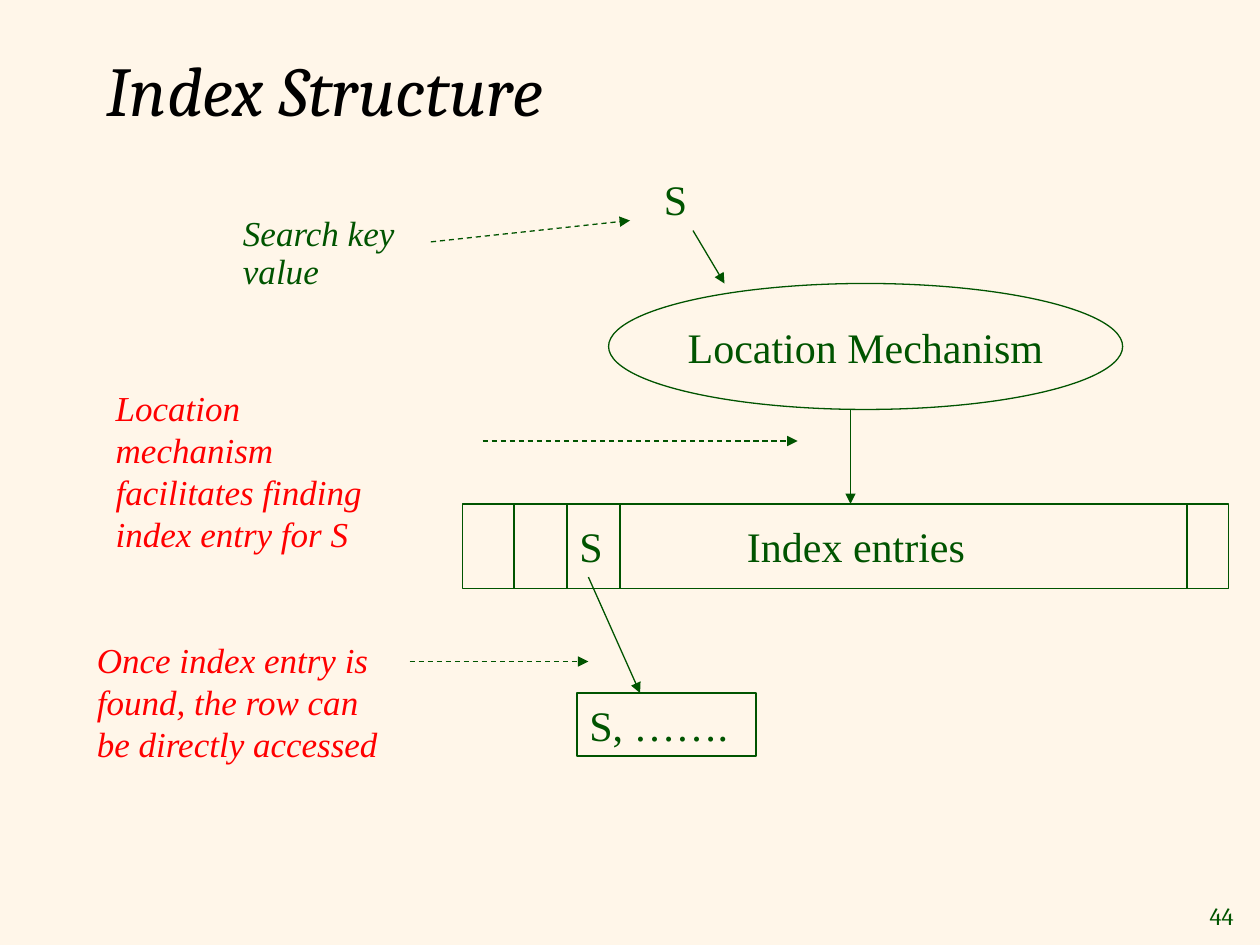
from lxml import etree
from pptx import Presentation
from pptx.dml.color import RGBColor
from pptx.enum.dml import MSO_LINE_DASH_STYLE as Dash
from pptx.enum.shapes import MSO_CONNECTOR as Connector, MSO_SHAPE as Shape
from pptx.enum.text import MSO_ANCHOR as Anchor, PP_ALIGN as Align
from pptx.oxml.ns import qn
from pptx.util import Inches, Pt

CREAM = RGBColor(0xFF, 0xF6, 0xE9)
GREEN = RGBColor(0x00, 0x54, 0x00)
RED = RGBColor(0xFF, 0x00, 0x00)
BLACK = RGBColor(0x00, 0x00, 0x00)
HEADING_FONT = "Cambria"
BODY_FONT = "Times New Roman"


class Diagram:
    """Holds the page and the green-on-cream style of the diagram."""

    line_width = Pt(0.75)

    def __init__(self, page):
        self.page = page
        page.background.fill.solid()
        page.background.fill.fore_color.rgb = CREAM

    def set_text(self, shape, words, size=24, color=GREEN, font=BODY_FONT, italic=False,
                 align=Align.LEFT, anchor=Anchor.TOP, wrap=False, spacing=None):
        frame = shape.text_frame
        frame.text = words
        frame.word_wrap = wrap
        frame.vertical_anchor = anchor
        for para in frame.paragraphs:
            para.alignment = align
            if spacing:
                para.line_spacing = spacing
            for span in para.runs:
                span.font.name = font
                span.font.size = Pt(size)
                span.font.italic = italic
                span.font.color.rgb = color

    def label(self, words, left, top, width, height, **style):
        box = self.page.shapes.add_textbox(
            Inches(left), Inches(top), Inches(width), Inches(height))
        self.set_text(box, words, **style)

    def note(self, words, left, top, width, height, **style):
        self.label(words, left, top, width, height, size=20, italic=True, **style)

    def outline(self, kind, left, top, width, height):
        shape = self.page.shapes.add_shape(
            kind, Inches(left), Inches(top), Inches(width), Inches(height))
        shape.shadow.inherit = False
        shape.fill.solid()
        shape.fill.fore_color.rgb = CREAM
        shape.line.color.rgb = GREEN
        shape.line.width = self.line_width
        return shape

    def line(self, start, end, dashed=False, arrow=False):
        connector = self.page.shapes.add_connector(
            Connector.STRAIGHT, *(Inches(value) for value in (*start, *end)))
        connector.line.color.rgb = GREEN
        connector.line.width = self.line_width
        if dashed:
            connector.line.dash_style = Dash.DASH
        properties = connector._element.spPr
        if arrow:
            etree.SubElement(properties.find(qn("a:ln")), qn("a:tailEnd"), type="triangle")
        etree.SubElement(properties, qn("a:effectLst"))


def main():
    deck = Presentation()
    deck.slide_width, deck.slide_height = Inches(10), Inches(7.5)
    diagram = Diagram(deck.slides.add_slide(deck.slide_layouts[6]))

    diagram.label("44", 9.45, 7.1, 0.44, 0.33, size=14, font=HEADING_FONT,
                  align=Align.RIGHT, anchor=Anchor.MIDDLE)
    diagram.label("Index Structure", 0.75, 0.33, 8.5, 0.75, size=40, color=BLACK,
                  font=HEADING_FONT, italic=True, anchor=Anchor.MIDDLE, wrap=True)

    mechanism = diagram.outline(Shape.OVAL, 4.83, 2.25, 4.08, 1)
    diagram.set_text(mechanism, "Location Mechanism", align=Align.CENTER,
                     anchor=Anchor.MIDDLE)

    index_top, index_height = 4, 0.67
    diagram.outline(Shape.RECTANGLE, 3.67, index_top, 6.08, index_height)
    for x in (4.08, 4.5, 4.92, 9.42):
        diagram.line((x, index_top), (x, index_top + index_height))
    diagram.label("Index entries", 5.83, 4.08, 1.93, 0.5)
    diagram.label("S", 4.5, 4.08, 0.39, 0.5)

    diagram.outline(Shape.RECTANGLE, 4.58, 5.5, 1.42, 0.5)
    diagram.label("S, …….", 4.58, 5.5, 1.3, 0.5)
    diagram.label("S", 5.17, 1.33, 0.39, 0.5)

    diagram.note("Search key\nvalue", 1.83, 1.67, 1.41, 0.7, spacing=0.9)
    diagram.note("Location mechanism\nfacilitates finding\nindex entry for S",
                 0.82, 3.02, 2.4, 1.1, color=RED, wrap=True)
    diagram.note("Once index entry is found, the row can be directly accessed",
                 0.67, 5.02, 2.58, 1.1, color=RED, wrap=True)

    for start, end in (((5.5, 1.83), (5.75, 2.25)),
                       ((6.75, 3.25), (6.75, 4)),
                       ((4.67, 4.58), (5.08, 5.5))):
        diagram.line(start, end, arrow=True)
    for start, end in (((3.42, 1.92), (5, 1.75)),
                       ((3.83, 3.5), (6.33, 3.5)),
                       ((3.25, 5.25), (4.67, 5.25))):
        diagram.line(start, end, dashed=True, arrow=True)

    deck.save("out.pptx")


if __name__ == "__main__":
    main()
